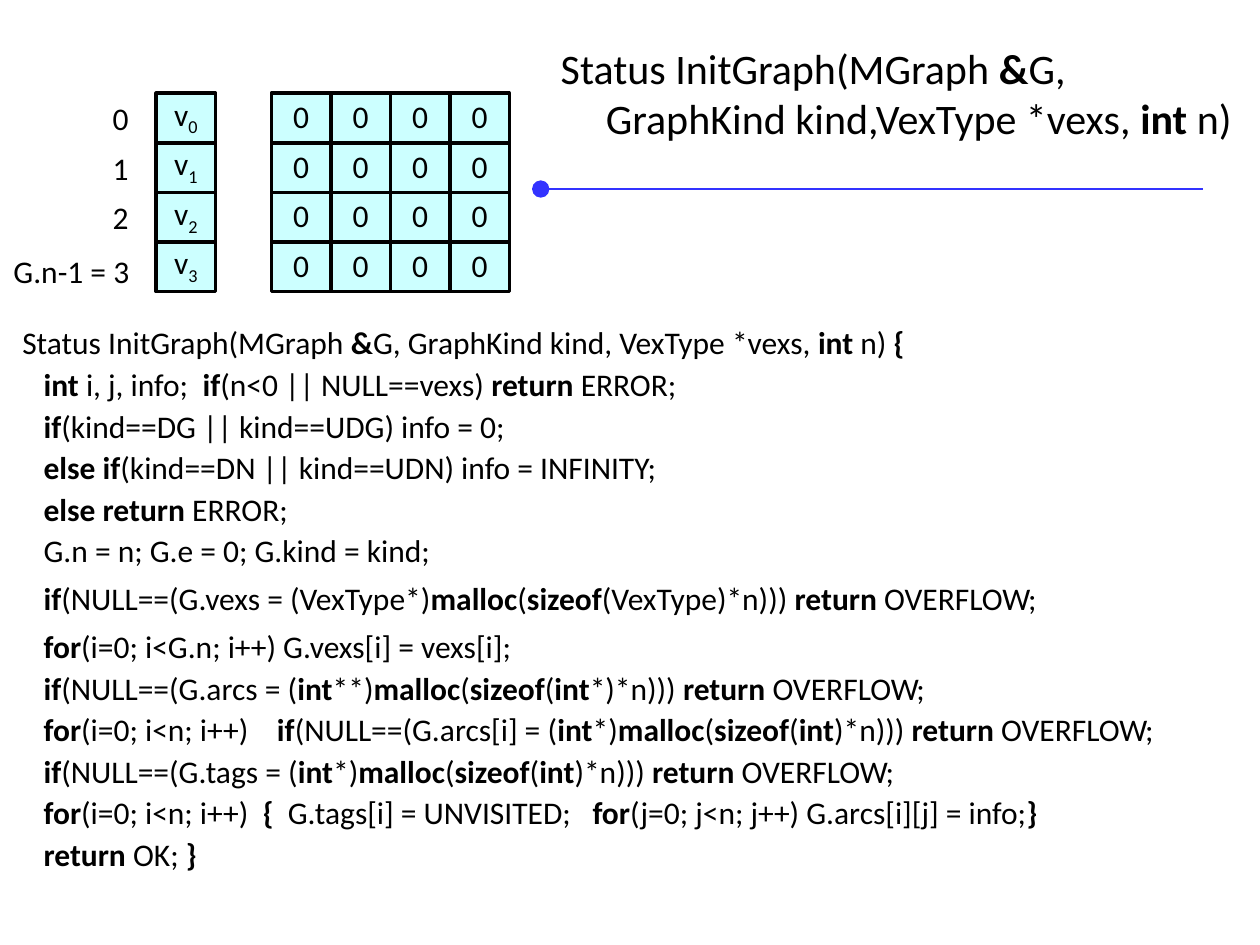
from typing import NamedTuple

from lxml import etree
from pptx import Presentation
from pptx.dml.color import RGBColor
from pptx.enum.shapes import MSO_CONNECTOR, MSO_SHAPE
from pptx.enum.text import MSO_ANCHOR, MSO_AUTO_SIZE, PP_ALIGN
from pptx.oxml.ns import qn
from pptx.util import Cm, Pt

RECTANGLE = MSO_SHAPE.RECTANGLE
STRAIGHT = MSO_CONNECTOR.STRAIGHT
MIDDLE, TOP = MSO_ANCHOR.MIDDLE, MSO_ANCHOR.TOP
LEFT, CENTER = PP_ALIGN.LEFT, PP_ALIGN.CENTER

BLACK = RGBColor(0x00, 0x00, 0x00)
CELL_FILL = RGBColor(0xCC, 0xFF, 0xFF)
RULE_BLUE = RGBColor(0x33, 0x33, 0xFF)
FONT = "Calibri"

# Cell grid, in centimetres
SIZE = 4
CELL_WIDTH, CELL_HEIGHT = 1.2, 1.0
GRID_TOP = 1.88
VERTEX_LEFT, MATRIX_LEFT = 3.15, 5.47


class Label(NamedTuple):
    text: str
    left: float
    top: float
    width: float


class CodeLine(NamedTuple):
    text: str  # backticks enclose bold parts
    indent: float = 0.43
    space_before: float = 0


LABELS = [Label(str(row), 1.93, GRID_TOP + row * CELL_HEIGHT + 0.2, 1.0)
          for row in range(SIZE - 1)]
LABELS.append(Label("G.n-1 = 3", 0, 5.16, 2.88))

TITLE = [
    CodeLine("Status InitGraph(MGraph `&`G,", 0),
    CodeLine("GraphKind kind,VexType *vexs, `int` n)", 0.91),
]
CODE = [
    CodeLine("Status InitGraph(MGraph `&`G, GraphKind kind, VexType *vexs, `int` n) `{`", 0),
    CodeLine("`int `i, j, info;  `if`(n<0 || NULL==vexs) `return` ERROR;"),
    CodeLine("`if`(kind==DG || kind==UDG) info = 0;"),
    CodeLine("`else if`(kind==DN || kind==UDN) info = INFINITY;"),
    CodeLine("`else return` ERROR;"),
    CodeLine("G.n = n; G.e = 0; G.kind = kind;"),
    CodeLine("`if`(NULL==(G.vexs = (VexType*)`malloc`(`sizeof`(VexType)*n))) `return` OVERFLOW;",
             space_before=3.6),
    CodeLine("`for`(i=0; i<G.n; i++) G.vexs[i] = vexs[i];", space_before=3.6),
    CodeLine("`if`(NULL==(G.arcs = (`int`**)`malloc`(`sizeof`(`int`*)*n))) `return` OVERFLOW;"),
    CodeLine("`for`(i=0; i<n; i++)`    if`(NULL==(G.arcs[i] = (`int`*)`malloc`(`sizeof`(`int`)*n)))"
             " `return` OVERFLOW;"),
    CodeLine("`if`(NULL==(G.tags = (`int`*)`malloc`(`sizeof`(`int`)*n))) `return `OVERFLOW;"),
    CodeLine("`for`(i=0; i<n; i++)  `{ ` G.tags[i] = UNVISITED;`   for`(j=0; j<n; j++)"
             " G.arcs[i][j] = info;`}`"),
    CodeLine("`return` OK; `}`"),
]


def add_run(paragraph, text: str, size: float = 18, bold: bool = False):
    run = paragraph.add_run()
    run.text = text
    run.font.name = FONT
    run.font.size = Pt(size)
    run.font.bold = bold
    run.font.color.rgb = BLACK
    return run


def write_lines(frame, lines: list[CodeLine], size: float, spacing: float) -> None:
    for index, line in enumerate(lines):
        paragraph = frame.add_paragraph() if index else frame.paragraphs[0]
        paragraph.alignment = LEFT
        paragraph.line_spacing = spacing
        paragraph.space_before = Pt(line.space_before)
        properties = paragraph._p.get_or_add_pPr()
        properties.set("marL", str(Cm(line.indent)))
        properties.set("indent", "0")
        for part, text in enumerate(line.text.split("`")):
            if text:
                add_run(paragraph, text, size, bold=part % 2 == 1)


def add_cell(slide, left: float, row: int, text: str, subscript: str = "") -> None:
    shape = slide.shapes.add_shape(RECTANGLE, Cm(left), Cm(GRID_TOP + row * CELL_HEIGHT),
                                   Cm(CELL_WIDTH), Cm(CELL_HEIGHT))
    shape.shadow.inherit = False
    shape.fill.solid()
    shape.fill.fore_color.rgb = CELL_FILL
    shape.line.color.rgb = BLACK
    shape.line.width = Pt(2)
    frame = shape.text_frame
    frame.vertical_anchor = MIDDLE
    frame.margin_top, frame.margin_bottom = Cm(0.05), Cm(0.13)
    paragraph = frame.paragraphs[0]
    paragraph.alignment = CENTER
    add_run(paragraph, text)
    if subscript:
        run = add_run(paragraph, subscript)
        run._r.get_or_add_rPr().set("baseline", "-25000")


def add_label(slide, label: Label) -> None:
    box = slide.shapes.add_textbox(Cm(label.left), Cm(label.top), Cm(label.width), Cm(0.6))
    frame = box.text_frame
    frame.word_wrap = False
    frame.vertical_anchor = MIDDLE
    frame.paragraphs[0].alignment = CENTER
    add_run(frame.paragraphs[0], label.text)


def add_rule(slide) -> None:
    rule = slide.shapes.add_connector(STRAIGHT, Cm(10.9), Cm(3.81), Cm(24.26), Cm(3.81))
    rule.line.color.rgb = RULE_BLUE
    rule.line.width = Pt(1.5)
    etree.SubElement(rule.line._get_or_add_ln(), qn("a:headEnd"), type="oval", w="lg", len="lg")
    etree.SubElement(rule._element.spPr, qn("a:effectLst"))


def main() -> None:
    presentation = Presentation()
    presentation.slide_width, presentation.slide_height = Cm(25.4), Cm(19.05)
    slide = presentation.slides.add_slide(presentation.slide_layouts[5])
    add_rule(slide)

    # Title: the function signature
    title = slide.shapes.title
    title.left, title.top, title.width, title.height = Cm(11.05), Cm(0.71), Cm(14.15), Cm(2.31)
    title.text_frame.auto_size = MSO_AUTO_SIZE.NONE
    title.text_frame.word_wrap = False
    title.text_frame.vertical_anchor = MIDDLE
    write_lines(title.text_frame, TITLE, 24, 1.0)

    # Function body
    code = slide.shapes.add_textbox(Cm(0.2), Cm(6.32), Cm(24.4), Cm(12.1))
    code.text_frame.word_wrap = True
    code.text_frame.vertical_anchor = TOP
    write_lines(code.text_frame, CODE, 18, 1.1)

    # Vertex vector and adjacency matrix
    for row in range(SIZE):
        add_cell(slide, VERTEX_LEFT, row, "v", str(row))
        for column in range(SIZE):
            add_cell(slide, MATRIX_LEFT + column * CELL_WIDTH, row, "0")
    for label in LABELS:
        add_label(slide, label)

    presentation.save("out.pptx")


if __name__ == "__main__":
    main()
